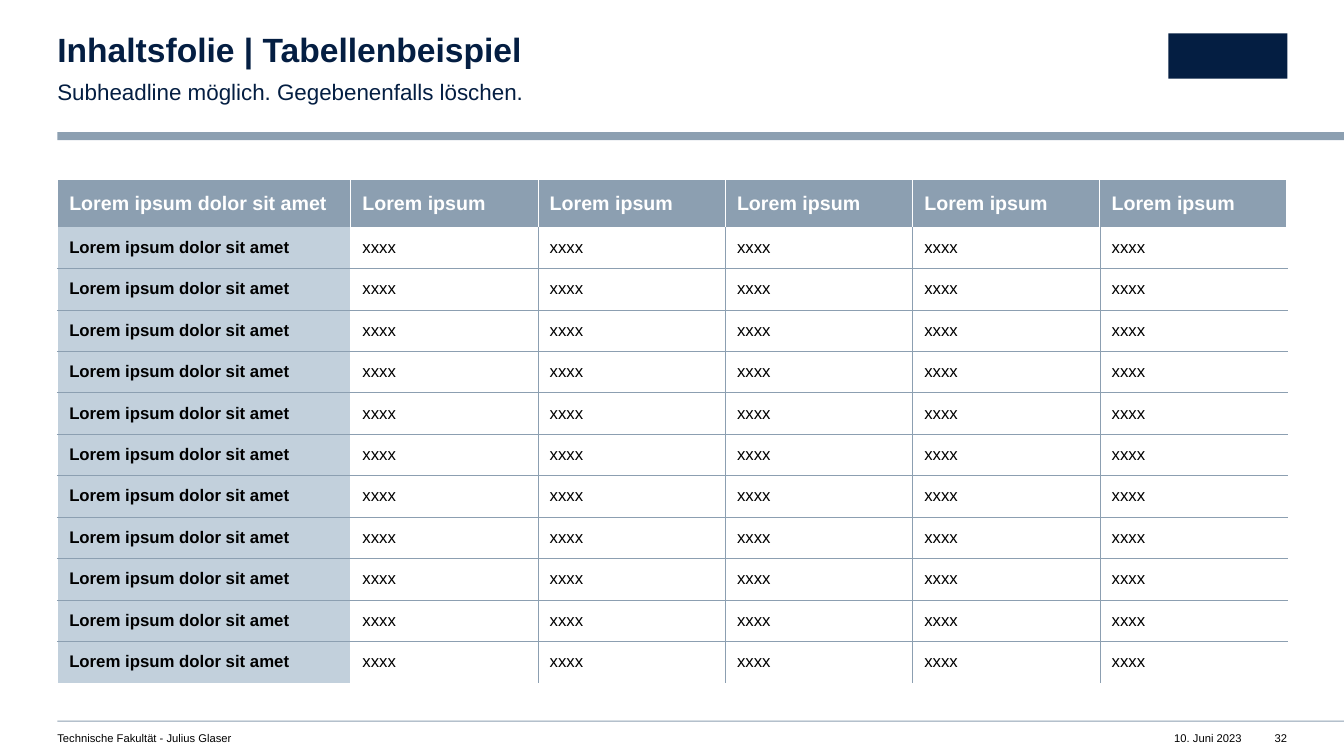
from dataclasses import dataclass
from typing import Optional

from lxml.etree import SubElement
from pptx import Presentation
from pptx.dml.color import RGBColor
from pptx.enum.shapes import MSO_SHAPE
from pptx.enum.text import MSO_ANCHOR, MSO_AUTO_SIZE, PP_ALIGN
from pptx.oxml.ns import qn
from pptx.util import Pt

NAVY = RGBColor(0x04, 0x1E, 0x42)
STEEL = RGBColor(0x8C, 0x9F, 0xB1)
PALE = RGBColor(0xC2, 0xD0, 0xDC)
WHITE = RGBColor(0xFF, 0xFF, 0xFF)
BLACK = RGBColor(0x00, 0x00, 0x00)
FONT = "Arial"
NO_STYLE_NO_GRID = "{2D5ABB26-0587-4C30-8999-92F81FD0307C}"
MARGIN = 41
CONTENT_RIGHT = 919.4
COLUMN_WIDTHS = [209.4] + [133.8] * 5
ROW_HEIGHTS = [33.6] + [29.6] * 11


@dataclass(frozen=True)
class Box:
    left: float
    top: float
    width: float
    height: float


@dataclass(frozen=True)
class TextStyle:
    size: float
    color: RGBColor
    bold: bool = False


@dataclass(frozen=True)
class FooterText:
    text: str
    box: Box
    alignment: PP_ALIGN
    wrap: bool


@dataclass(frozen=True)
class Border:
    color: RGBColor
    width: float


OUTER = Border(WHITE, 1)
HEADER_DIVIDER = Border(WHITE, 0.5)
GRID = Border(STEEL, 0.25)

HEADER_STYLE = TextStyle(14, WHITE, True)
LABEL_STYLE = TextStyle(12, BLACK, True)
VALUE_STYLE = TextStyle(12, BLACK)
FOOTER_STYLE = TextStyle(8, BLACK)

BLOCKS = [
    (Box(MARGIN, 94.3, 919, 5.8), STEEL),  # header bar
    (Box(MARGIN, 514.8, 919, 0.72), STEEL),  # footer rule
    (Box(834.5, 23.8, 85, 32.4), NAVY),  # emblem area
]
FOOTERS = [
    FooterText("10. Juni 2023", Box(820, 522.7, 67, 9.4), PP_ALIGN.RIGHT, False),
    FooterText("Technische Fakultät - Julius Glaser", Box(MARGIN, 522.7, 430, 9.4),
               PP_ALIGN.LEFT, True),
    FooterText("32", Box(904.4, 522.7, 15, 9.4), PP_ALIGN.RIGHT, False),
]


def place(shape, box: Box) -> None:
    shape.left, shape.top = Pt(box.left), Pt(box.top)
    shape.width, shape.height = Pt(box.width), Pt(box.height)


def add_run(paragraph, text: str, style: TextStyle) -> None:
    run = paragraph.add_run()
    run.text = text
    run.font.name = FONT
    run.font.size = Pt(style.size)
    run.font.bold = style.bold
    run.font.color.rgb = style.color


def fill_text(shape, text: str, style: TextStyle, alignment: PP_ALIGN = PP_ALIGN.LEFT,
              wrap: bool = True, right_inset: float = 0):
    frame = shape.text_frame
    frame.margin_left = frame.margin_top = frame.margin_bottom = 0
    frame.margin_right = Pt(right_inset)
    frame.vertical_anchor = MSO_ANCHOR.TOP
    frame.word_wrap = wrap
    frame.auto_size = MSO_AUTO_SIZE.SHAPE_TO_FIT_TEXT
    paragraph = frame.paragraphs[0]
    paragraph.alignment = alignment
    paragraph.space_before = Pt(0)
    add_run(paragraph, text, style)
    return paragraph


def add_block(slide, box: Box, color: RGBColor) -> None:
    shape = slide.shapes.add_shape(MSO_SHAPE.RECTANGLE, 0, 0, 0, 0)
    place(shape, box)
    shape.shadow.inherit = False
    shape.fill.solid()
    shape.fill.fore_color.rgb = color
    shape.line.fill.background()


def add_footer(slide, footer: FooterText) -> None:
    shape = slide.shapes.add_textbox(0, 0, 0, 0)
    place(shape, footer.box)
    fill_text(shape, footer.text, FOOTER_STYLE, footer.alignment, footer.wrap)


def set_border(cell, side: str, border: Optional[Border]) -> None:
    if border is None:
        return
    properties = cell._tc.get_or_add_tcPr()
    line = SubElement(properties, qn(f"a:ln{side}"), w=str(int(Pt(border.width))))
    SubElement(SubElement(line, qn("a:solidFill")), qn("a:srgbClr"), val=str(border.color))


def format_cell(cell, row: int, column: int) -> None:
    last_row, last_column = len(ROW_HEIGHTS) - 1, len(COLUMN_WIDTHS) - 1
    if row == 0:
        text = "Lorem ipsum dolor sit amet" if column == 0 else "Lorem ipsum"
        style, color, divider = HEADER_STYLE, STEEL, HEADER_DIVIDER
    elif column == 0:
        text, style, color, divider = "Lorem ipsum dolor sit amet", LABEL_STYLE, PALE, OUTER
    else:
        text, style, color, divider = "xxxx", VALUE_STYLE, None, GRID

    # Borders come before the fill in the cell properties
    beside_label = row > 0 and column == 1
    set_border(cell, "L", OUTER if column == 0 or beside_label else divider)
    set_border(cell, "R", OUTER if column == last_column else divider)
    set_border(cell, "T", OUTER if row == 0 else GRID if row > 1 else None)
    set_border(cell, "B", GRID if 0 < row < last_row else None)
    if color is None:
        cell.fill.background()
    else:
        cell.fill.solid()
        cell.fill.fore_color.rgb = color

    cell.vertical_anchor = MSO_ANCHOR.MIDDLE
    cell.margin_left = cell.margin_right = Pt(8.5)
    cell.margin_top = cell.margin_bottom = Pt(2.83)
    add_run(cell.text_frame.paragraphs[0], text, style)


def add_example_table(slide) -> None:
    table = slide.shapes.add_table(
        len(ROW_HEIGHTS), len(COLUMN_WIDTHS), Pt(MARGIN), Pt(128.4),
        Pt(sum(COLUMN_WIDTHS)), Pt(sum(ROW_HEIGHTS))).table
    table._tbl.tblPr.find(qn("a:tableStyleId")).text = NO_STYLE_NO_GRID
    table.horz_banding = False
    for column, width in enumerate(COLUMN_WIDTHS):
        table.columns[column].width = Pt(width)
    for row, height in enumerate(ROW_HEIGHTS):
        table.rows[row].height = Pt(height)
        for column in range(len(COLUMN_WIDTHS)):
            format_cell(table.cell(row, column), row, column)


def main() -> None:
    presentation = Presentation()
    presentation.slide_width, presentation.slide_height = Pt(960), Pt(540)
    slide = presentation.slides.add_slide(presentation.slide_layouts[1])

    # Bars and footer
    for box, color in BLOCKS:
        add_block(slide, box, color)
    for footer in FOOTERS:
        add_footer(slide, footer)

    # Table
    add_example_table(slide)

    # Headline and subheadline
    title = slide.shapes.title
    place(title, Box(MARGIN, 23.8, 539.3, 25.9))
    paragraph = fill_text(title, "Inhaltsfolie | Tabellenbeispiel", TextStyle(24, NAVY, True))
    paragraph.line_spacing = 0.9

    body = slide.placeholders[1]
    place(body, Box(MARGIN, 54, 539.3, 19.4))
    paragraph = fill_text(body, "Subheadline möglich. Gegebenenfalls löschen.",
                          TextStyle(16, NAVY), right_inset=28)
    paragraph.line_spacing = 1.1
    paragraph.space_after = Pt(12)
    properties = paragraph._p.get_or_add_pPr()
    properties.set("marL", "0")
    properties.set("indent", "0")
    SubElement(properties, qn("a:buNone"))

    presentation.save("out.pptx")


if __name__ == "__main__":
    main()
